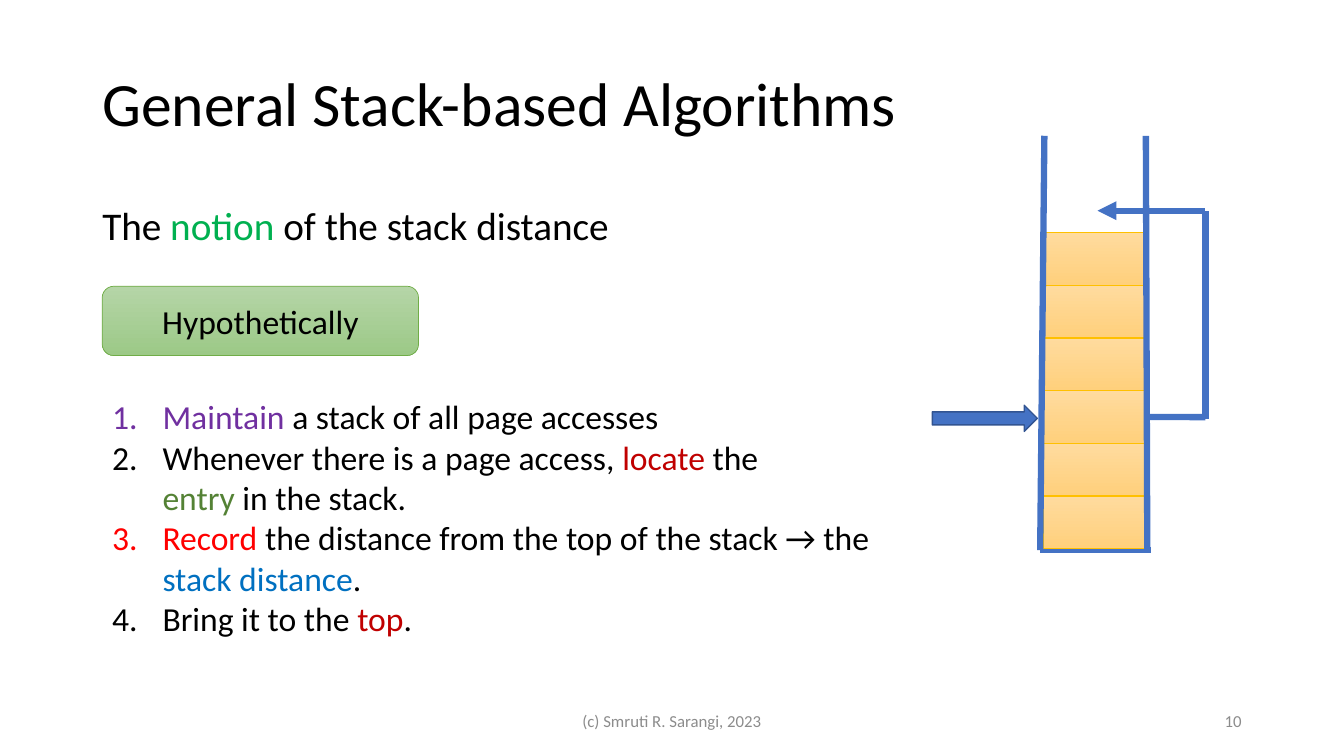
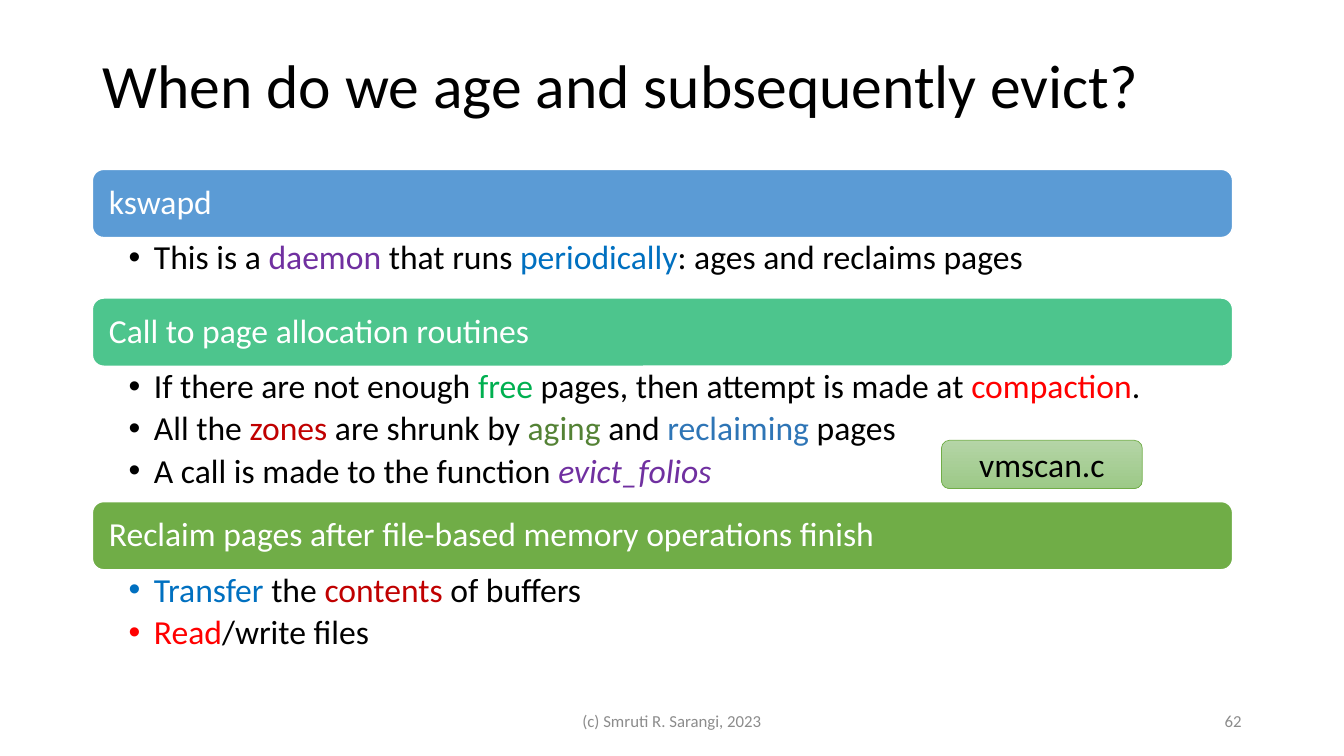
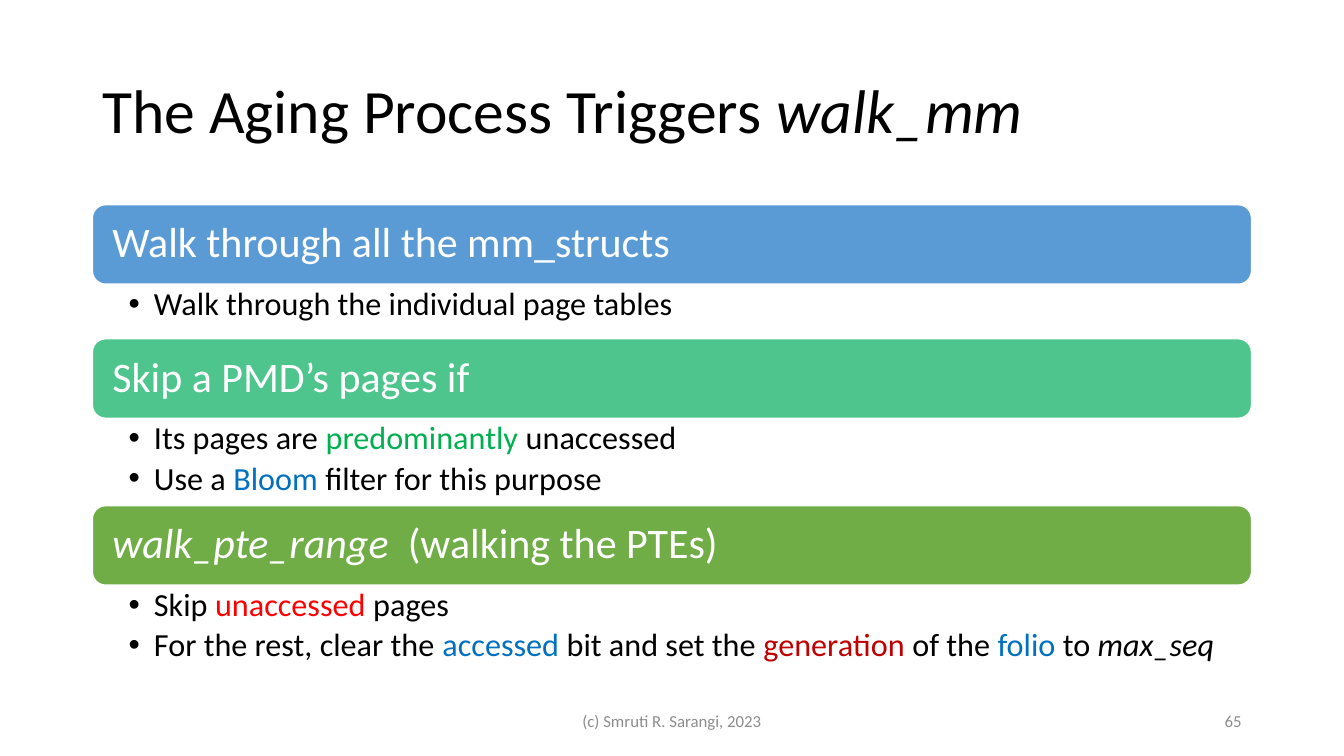
from lxml import etree
from pptx import Presentation
from pptx.dml.color import RGBColor
from pptx.enum import shapes, text
from pptx.oxml import ns
from pptx.util import Pt

FONT = "Calibri"
SHAPE = shapes.MSO_SHAPE
ALIGN = text.PP_ALIGN
ANCHOR = text.MSO_ANCHOR
COLORS = {
    "black": "000000", "white": "FFFFFF", "grey": "8C8C8C",
    "purple": "7030A0", "green": "00B050", "olive": "548235",
    "red": "FF0000", "crimson": "C00000", "blue": "0070C0", "steel": "2E75B6",
    "line": "4472C4", "line_dark": "325491", "gold": "FFC000",
    "gold_top": "FFDB9E", "gold_end": "FFD07C",
    "leaf": "70AD47", "leaf_top": "B5D5A7", "leaf_end": "9CC987",
    "band_blue": "5B9BD5", "band_teal": "4DC58D",
}
BANDS = ("band_blue", "band_teal", "leaf")
LEFT = 66


def rgb(name):
    """Return the named colour."""
    return RGBColor.from_string(COLORS[name])


def box(left, top, width, height):
    """Return a frame given in points as lengths."""
    return Pt(left), Pt(top), Pt(width), Pt(height)


def write(paragraph, pieces, size, color="black"):
    """Add runs, each a string or (string, colour, italic); a newline breaks the line."""
    for piece in pieces:
        if piece == "\n":
            paragraph.add_line_break()
            continue
        words, tint, italic = piece if isinstance(piece, tuple) else (piece, color, False)
        run = paragraph.add_run()
        run.text = words
        run.font.name, run.font.size = FONT, Pt(size)
        run.font.color.rgb = rgb(tint)
        if italic:
            run.font.italic = True


def mark(paragraph, indent, tag, **attributes):
    """Give a paragraph a hanging bullet or number."""
    properties = paragraph._p.get_or_add_pPr()
    properties.set("marL", str(Pt(indent)))
    properties.set("indent", str(-Pt(indent)))
    if tag == "a:buChar":
        etree.SubElement(properties, ns.qn("a:buFont"), typeface="Arial")
    etree.SubElement(properties, ns.qn(tag), **attributes)


def add_text(slide, frame, pieces, size, color="black", align=ALIGN.LEFT, anchor=ANCHOR.TOP):
    """Add a one-paragraph text box."""
    area = slide.shapes.add_textbox(*box(*frame)).text_frame
    area.word_wrap = True
    area.vertical_anchor = anchor
    area.paragraphs[0].alignment = align
    write(area.paragraphs[0], pieces, size, color)
    return area


def add_list(slide, frame, items, size, indent, tag, **attributes):
    """Add a bulleted or numbered list and return its text frame."""
    area = slide.shapes.add_textbox(*box(*frame)).text_frame
    area.word_wrap = True
    for index, pieces in enumerate(items):
        paragraph = area.add_paragraph() if index else area.paragraphs[0]
        mark(paragraph, indent, tag, **attributes)
        write(paragraph, pieces, size)
    return area


def add_block(slide, kind, frame, fill, line, line_width):
    """Add a preset shape with a plain fill or a (top, bottom) gradient."""
    block = slide.shapes.add_shape(kind, *box(*frame))
    block.shadow.inherit = False
    if isinstance(fill, tuple):
        block.fill.gradient()
        block.fill.gradient_angle = 270
        for stop, shade in zip(block.fill.gradient_stops, fill):
            stop.color.rgb = rgb(shade)
    else:
        block.fill.solid()
        block.fill.fore_color.rgb = rgb(fill)
    block.line.color.rgb = rgb(line)
    block.line.width = Pt(line_width)
    return block


def add_label(slide, frame, words):
    """Add a green rounded label with centred text."""
    label = add_block(slide, SHAPE.ROUNDED_RECTANGLE, frame, ("leaf_top", "leaf_end"), "leaf", 0.5)
    label.text_frame.vertical_anchor = ANCHOR.MIDDLE
    label.text_frame.paragraphs[0].alignment = ALIGN.CENTER
    write(label.text_frame.paragraphs[0], [words], 24)


def add_line(slide, start, end, arrow=False, source=None):
    """Add a thick line, with an arrowhead at its end or joined to a source's right side."""
    line = slide.shapes.add_connector(
        shapes.MSO_CONNECTOR.STRAIGHT, *(Pt(value) for value in start + end))
    if source is not None:
        line.begin_connect(source, 3)
    line.line.color.rgb = rgb("line")
    line.line.width = Pt(4.5)
    if arrow:
        etree.SubElement(line.line._get_or_add_ln(), ns.qn("a:tailEnd"), type="triangle")
    etree.SubElement(line._element.spPr, ns.qn("a:effectLst"))


def add_slide(deck, title_top, title, number):
    """Add a slide with its title, footer and number."""
    slide = deck.slides.add_slide(deck.slide_layouts[5])
    heading = slide.shapes.title
    heading.left, heading.top, heading.width, heading.height = box(LEFT, title_top, 828, 104.4)
    heading.text_frame.vertical_anchor = ANCHOR.MIDDLE
    paragraph = heading.text_frame.paragraphs[0]
    paragraph.alignment = ALIGN.LEFT
    paragraph.line_spacing = 0.9
    write(paragraph, title, 44)
    add_text(slide, (318, 500.5, 324, 28.75), ["(c) Smruti R. Sarangi, 2023"], 12, "grey",
             ALIGN.CENTER, ANCHOR.MIDDLE)
    add_text(slide, (678, 500.5, 216, 28.75), [str(number)], 12, "grey",
             ALIGN.RIGHT, ANCHOR.MIDDLE)
    return slide


def add_sections(slide, top, width, band_height, band_size, inset, list_size, sections):
    """Stack coloured bands, each followed by its bullets."""
    for color, (heading, list_height, items) in zip(BANDS, sections):
        band = add_block(slide, SHAPE.ROUNDED_RECTANGLE, (LEFT, top, width, band_height),
                         color, "white", 1)
        area = band.text_frame
        area.margin_left = Pt(inset)
        area.vertical_anchor = ANCHOR.MIDDLE
        area.paragraphs[0].alignment = ALIGN.LEFT
        area.paragraphs[0].line_spacing = 0.9
        write(area.paragraphs[0], heading, band_size, "white")
        top += band_height
        bullets = add_list(slide, (LEFT, top, width, list_height), items, list_size, 18,
                           "a:buChar", char="•")
        bullets.margin_left, bullets.margin_right = Pt(26), Pt(14)
        bullets.margin_top = bullets.margin_bottom = Pt(2.4)
        for paragraph in bullets.paragraphs:
            paragraph.line_spacing = 0.9
            paragraph.space_after = Pt(list_size * 0.18)
        top += list_height


def add_stack(slide):
    """Draw the page stack and the move of an entry to its top."""
    left, right, top, pitch, floor = 745, 819, 166.3, 37.6, 393
    add_line(slide, (743, floor), (822, floor))
    pages = [add_block(slide, SHAPE.RECTANGLE, (left, top + row * pitch, right - left, 37.4),
                       ("gold_top", "gold_end"), "gold", 0.5) for row in range(6)]
    add_line(slide, (818.5, 97), (819.5, floor))
    add_line(slide, (746, 97), (743, floor))
    add_block(slide, SHAPE.RIGHT_ARROW, (666, 289.5, 75, 18.7), "line", "line_dark", 1)
    entry, turn, entry_y, target_y = pages[3], 861, 298, 150.5
    add_line(slide, (right, entry_y), (turn, entry_y), source=entry)
    add_line(slide, (turn, entry_y + 1), (turn, target_y))
    add_line(slide, (turn, target_y), (784, target_y), arrow=True)


def stack_slide(deck):
    """Build the slide on stack-based algorithms."""
    slide = add_slide(deck, 24, ["General Stack-based Algorithms"], 10)
    add_text(slide, (LEFT, 144, 576, 50),
             ["The ", ("notion", "green", False), " of the stack distance"], 28
             ).paragraphs[0].line_spacing = 0.9
    add_label(slide, (73, 204.5, 226, 49.5), "Hypothetically")
    add_list(slide, (73, 279.5, 594, 181.5), [
        [("Maintain", "purple", False), " a stack of all page accesses"],
        ["Whenever there is a page access, ", ("locate", "crimson", False), " the", "\n",
         ("entry", "olive", False), " in the stack."],
        [("Record", "red", False), " the distance from the top of the stack → the ",
         ("stack distance", "blue", False), "."],
        ["Bring it to the ", ("top", "crimson", False), "."],
    ], 24, 36, "a:buAutoNum", type="arabicPeriod")
    add_stack(slide)


def evict_slide(deck):
    """Build the slide on when pages are aged and evicted."""
    slide = add_slide(deck, 11, ["When do we age and subsequently evict?"], 62)
    add_sections(slide, 121, 814.5, 48.7, 24, 9.5, 24, [
        (["kswapd"], 43.2, [
            ["This is a ", ("daemon", "purple", False), " that runs ",
             ("periodically", "blue", False), ": ages and reclaims pages"]]),
        (["Call to page allocation routines"], 96.7, [
            ["If there are not enough ", ("free", "green", False),
             " pages, then attempt is made at ", ("compaction", "red", False), "."],
            ["All the ", ("zones", "crimson", False), " are shrunk by ",
             ("aging", "olive", False), " and ", ("reclaiming", "steel", False), " pages"],
            ["A call is made to the function ", ("evict_folios", "purple", True)]]),
        (["Reclaim pages after file-based memory operations finish"], 65, [
            [("Transfer", "blue", False), " the ", ("contents", "crimson", False),
             " of buffers"],
            [("Read", "red", False), "/write files"]]),
    ])
    add_label(slide, (672.5, 314.5, 143.5, 34.5), "vmscan.c")


def walk_slide(deck):
    """Build the slide on the page table walk."""
    slide = add_slide(deck, 29, ["The Aging Process Triggers ", ("walk_mm", "black", True)], 65)
    add_sections(slide, 146.2, 828, 56.8, 30, 11.5, 23, [
        (["Walk through all the mm_structs"], 39, [
            ["Walk through the individual page tables"]]),
        (["Skip a PMD’s pages if"], 62.4, [
            ["Its pages are ", ("predominantly ", "green", False), "unaccessed"],
            ["Use a ", ("Bloom", "blue", False), " filter for this purpose"]]),
        ([("walk_pte_range  ", "white", True), "(walking the PTEs)"], 62.4, [
            ["Skip ", ("unaccessed", "red", False), " pages"],
            ["For the rest, clear the ", ("accessed", "blue", False), " bit and set the ",
             ("generation", "crimson", False), " of the ", ("folio", "blue", False), " to ",
             ("max_seq", "black", True)]]),
    ])


def main():
    """Build and save the slides."""
    deck = Presentation()
    deck.slide_width, deck.slide_height = Pt(960), Pt(540)
    stack_slide(deck)
    evict_slide(deck)
    walk_slide(deck)
    deck.save("out.pptx")


if __name__ == "__main__":
    main()
